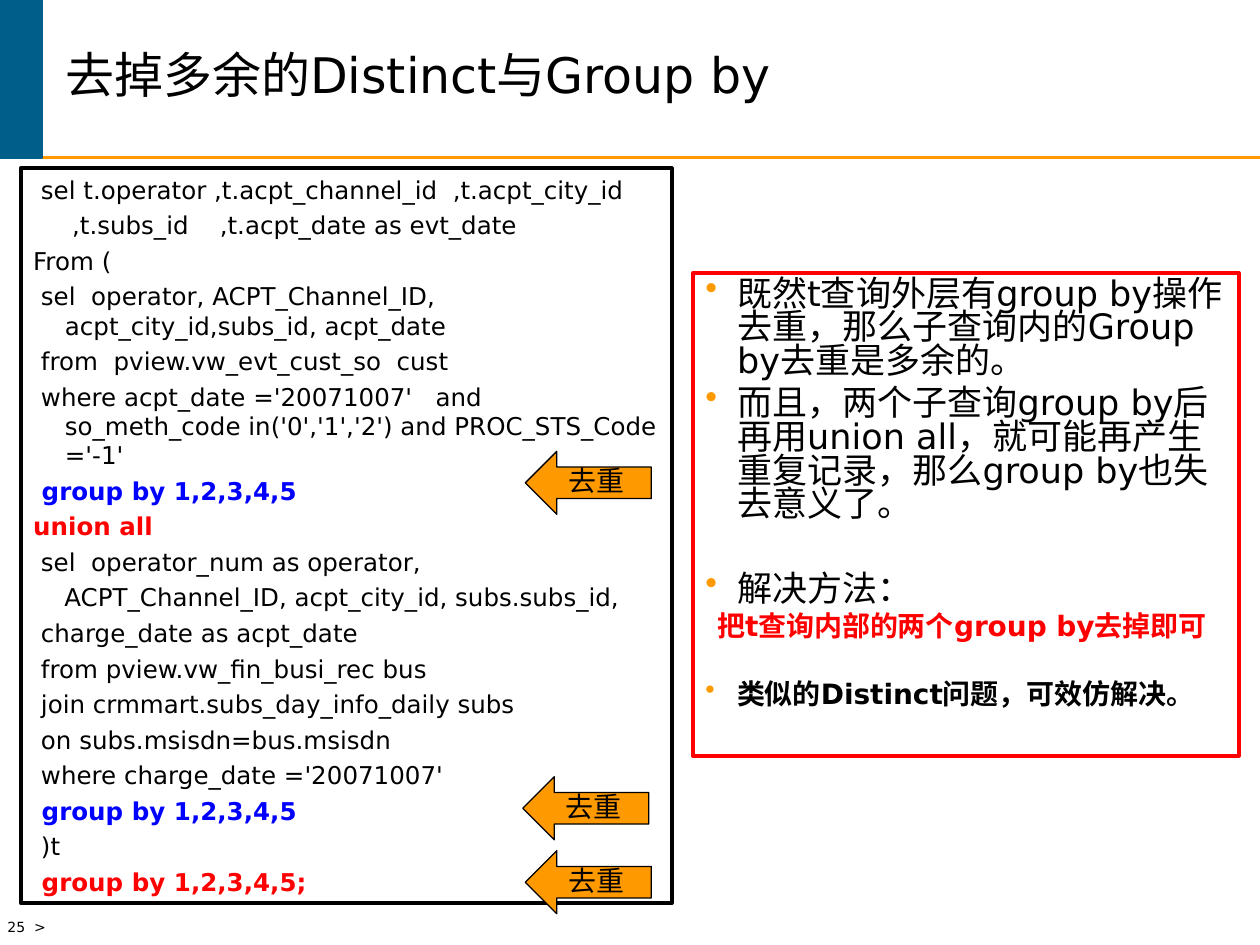
"""Build the slide on removing redundant Distinct and Group by."""
from lxml import etree
from pptx import Presentation
from pptx.dml.color import RGBColor
from pptx.enum.shapes import MSO_CONNECTOR, MSO_SHAPE
from pptx.enum.text import MSO_ANCHOR, MSO_AUTO_SIZE, PP_ALIGN
from pptx.oxml.ns import qn
from pptx.util import Cm, Pt

RECTANGLE, LEFT_ARROW = MSO_SHAPE.RECTANGLE, MSO_SHAPE.LEFT_ARROW
STRAIGHT = MSO_CONNECTOR.STRAIGHT
TOP, MIDDLE = MSO_ANCHOR.TOP, MSO_ANCHOR.MIDDLE
LEFT, CENTER = PP_ALIGN.LEFT, PP_ALIGN.CENTER
NO_AUTOFIT = MSO_AUTO_SIZE.NONE

BLACK, RED, BLUE, ORANGE, TEAL = "000000", "FF0000", "0000FF", "FF9900", "005E8A"
SLIDE_WIDTH, SLIDE_HEIGHT = 25.4, 19.05
HEADER_HEIGHT = 3.18
HANGING = 0.64

QUERY = [
    (" sel t.operator ,t.acpt_channel_id  ,t.acpt_city_id", BLACK),
    ("     ,t.subs_id    ,t.acpt_date as evt_date", BLACK),
    ("From (", BLACK),
    (" sel  operator, ACPT_Channel_ID, acpt_city_id,subs_id, acpt_date", BLACK),
    (" from  pview.vw_evt_cust_so  cust", BLACK),
    (" where acpt_date ='20071007'   and so_meth_code in('0','1','2') and PROC_STS_Code ='-1'", BLACK),
    (" group by 1,2,3,4,5", BLUE),
    ("union all", RED),
    (" sel  operator_num as operator,", BLACK),
    ("    ACPT_Channel_ID, acpt_city_id, subs.subs_id,", BLACK),
    (" charge_date as acpt_date", BLACK),
    (" from pview.vw_fin_busi_rec bus", BLACK),
    (" join crmmart.subs_day_info_daily subs", BLACK),
    (" on subs.msisdn=bus.msisdn", BLACK),
    (" where charge_date ='20071007'", BLACK),
    (" group by 1,2,3,4,5", BLUE),
    (" )t", BLACK),
    (" group by 1,2,3,4,5;", RED),
]

ADVICE = [
    {"text": "既然t查询外层有group by操作去重，那么子查询内的Group by去重是多余的。", "bullet": True},
    {"text": "而且，两个子查询group by后再用union all，就可能再产生重复记录，那么group by也失去意义了。",
     "bullet": True, "before": 5},
    {"text": "解决方法：", "bullet": True, "before": 29},
    {"text": "把t查询内部的两个group by去掉即可", "size": 16, "color": RED, "bold": True,
     "before": 4, "first": -0.4},
    {"text": "类似的Distinct问题，可效仿解决。", "size": 16, "bold": True, "bullet": True, "before": 23.5},
]

ARROWS = [(10.59, 9.1), (10.54, 15.66), (10.59, 17.15)]


def rgb(hex_string):
    return RGBColor.from_string(hex_string)


class SlideBuilder:
    """Hold the style and the current slide."""

    def __init__(self, slide, font="DejaVu Sans"):
        self.slide = slide
        self.font = font

    def frame(self, shape, paragraphs, anchor=TOP, wrap=True):
        text_frame = shape.text_frame
        settings = {
            "auto_size": NO_AUTOFIT, "word_wrap": wrap, "vertical_anchor": anchor,
            "margin_left": Cm(0.25), "margin_right": Cm(0.25),
            "margin_top": Cm(0.13), "margin_bottom": Cm(0.13),
        }
        for name, value in settings.items():
            setattr(text_frame, name, value)
        for index, content in enumerate(paragraphs):
            paragraph = text_frame.add_paragraph() if index else text_frame.paragraphs[0]
            self.paragraph(paragraph, **content)

    def paragraph(self, paragraph, text, size=20, color=BLACK, bold=False, align=LEFT,
                  spacing=1.0, before=0, margin=0, first=0, bullet=False):
        properties = paragraph._p.get_or_add_pPr()
        properties.set("marL", str(Cm(margin)))
        properties.set("indent", str(Cm(first)))
        if bullet:
            bullet_color = etree.SubElement(properties, qn("a:buClr"))
            etree.SubElement(bullet_color, qn("a:srgbClr"), val=ORANGE)
            etree.SubElement(properties, qn("a:buChar"), char="•")
        else:
            etree.SubElement(properties, qn("a:buNone"))
        layout = {"alignment": align, "line_spacing": spacing, "space_before": Pt(before)}
        for name, value in layout.items():
            setattr(paragraph, name, value)
        run = paragraph.add_run()
        run.text = text
        for name, value in {"name": self.font, "size": Pt(size), "bold": bold}.items():
            setattr(run.font, name, value)
        run.font.color.rgb = rgb(color)

    def title(self, text, left, top, width, height):
        title = self.slide.shapes.title
        position = {"left": left, "top": top, "width": width, "height": height}
        for name, value in position.items():
            setattr(title, name, Cm(value))
        self.frame(title, [{"text": text, "size": 28, "spacing": 0.85}], MIDDLE)

    def shape(self, kind, left, top, width, height, line, weight, fill=None):
        shape = self.slide.shapes.add_shape(kind, Cm(left), Cm(top), Cm(width), Cm(height))
        shape.shadow.inherit = False
        if fill:
            shape.fill.solid()
            shape.fill.fore_color.rgb = rgb(fill)
        else:
            shape.fill.background()
        shape.line.color.rgb = rgb(line)
        shape.line.width = Pt(weight)
        return shape

    def rule(self, top, color, weight):
        rule = self.slide.shapes.add_connector(STRAIGHT, 0, Cm(top), Cm(SLIDE_WIDTH), Cm(top))
        rule.line.color.rgb = rgb(color)
        rule.line.width = Pt(weight)
        etree.SubElement(rule._element.spPr, qn("a:effectLst"))

    def panel(self, left, top, width, height, line, paragraphs):
        panel = self.shape(RECTANGLE, left, top, width, height, line, 2.25)
        self.frame(panel, paragraphs)

    def arrow(self, text, left, top):
        arrow = self.shape(LEFT_ARROW, left, top, 2.54, 1.27, BLACK, 0.75, ORANGE)
        label = {"text": text, "size": 16, "align": CENTER, "spacing": 0.9}
        self.frame(arrow, [label], MIDDLE, wrap=False)

    def label(self, text, left, top, width, height, size):
        box = self.slide.shapes.add_textbox(Cm(left), Cm(top), Cm(width), Cm(height))
        self.frame(box, [{"text": text, "size": size}], wrap=False)


def main():
    presentation = Presentation()
    presentation.slide_width = Cm(SLIDE_WIDTH)
    presentation.slide_height = Cm(SLIDE_HEIGHT)
    builder = SlideBuilder(presentation.slides.add_slide(presentation.slide_layouts[5]))

    builder.rule(HEADER_HEIGHT, ORANGE, 1.5)
    builder.shape(RECTANGLE, 0, 0, 0.85, HEADER_HEIGHT, TEAL, 1, TEAL)
    builder.label("25  >", -0.1, 18.39, 3.5, 0.66, 8)
    builder.title("去掉多余的Distinct与Group by", 1.07, 0, 23.7, HEADER_HEIGHT)

    hanging = {"margin": HANGING, "first": -HANGING}
    query = [
        {"text": text, "size": 14, "color": color, "bold": color != BLACK,
         "before": 3.5 if index else 0, **hanging}
        for index, (text, color) in enumerate(QUERY)
    ]
    builder.panel(0.42, 3.39, 13.12, 14.82, BLACK, query)
    advice = [{"spacing": 0.8, **hanging, **point} for point in ADVICE]
    builder.panel(13.97, 5.5, 11, 9.74, RED, advice)
    for left, top in ARROWS:
        builder.arrow("去重", left, top)

    presentation.save("out.pptx")


if __name__ == "__main__":
    main()
